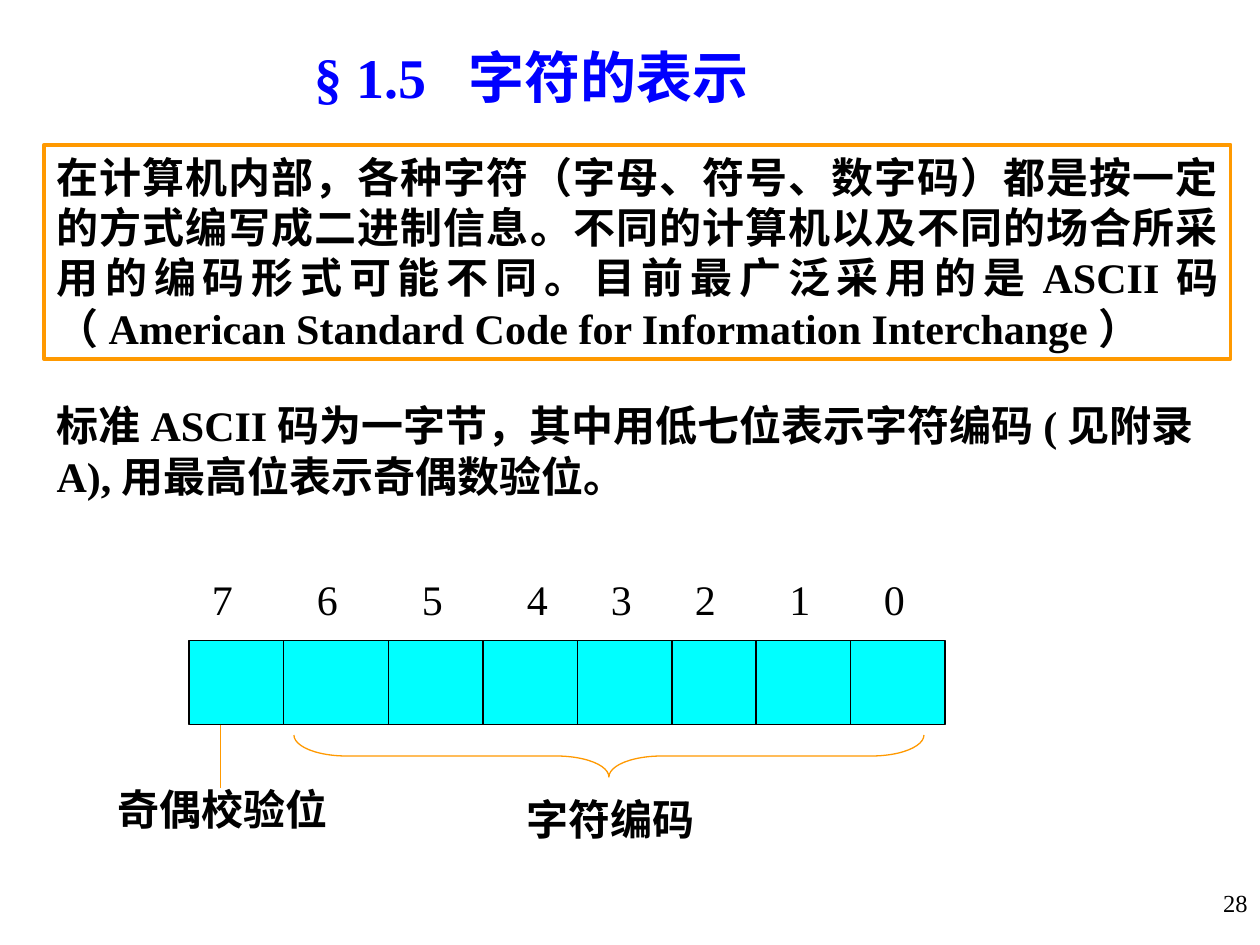
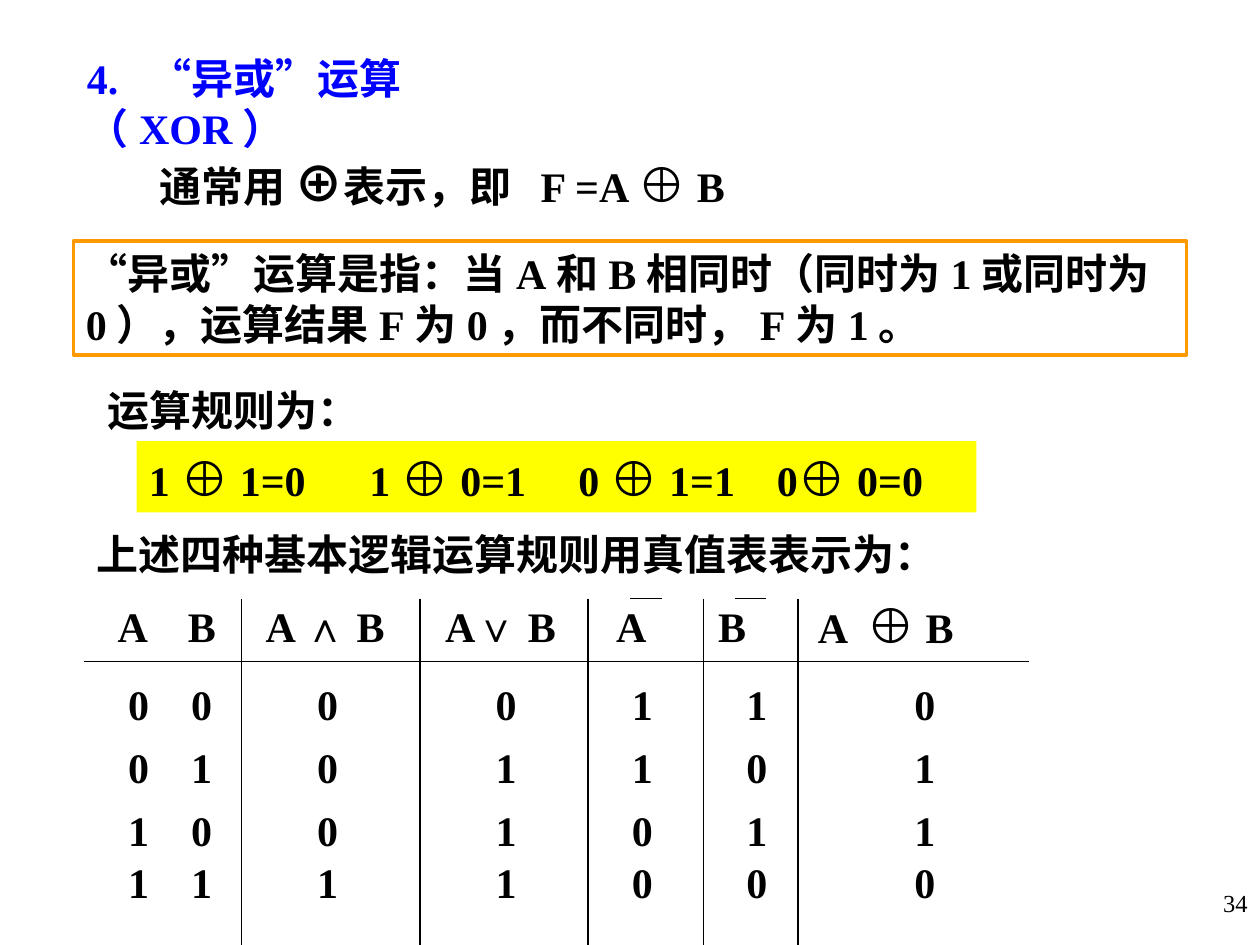
"""Build two slides on character codes and the exclusive-or operation."""
from itertools import groupby

from lxml import etree
from pptx import Presentation
from pptx.dml.color import RGBColor
from pptx.enum.shapes import MSO_CONNECTOR, MSO_SHAPE
from pptx.enum.text import MSO_ANCHOR, PP_ALIGN
from pptx.oxml.ns import qn
from pptx.util import Pt

PX = 7620
FONT = "Times New Roman"
BLACK = RGBColor(0x00, 0x00, 0x00)
BLUE = RGBColor(0x00, 0x00, 0xFF)
ORANGE = RGBColor(0xFF, 0x99, 0x00)
CYAN = RGBColor(0x00, 0xFF, 0xFF)
YELLOW = RGBColor(0xFF, 0xFF, 0x00)
LEFT, RIGHT, JUSTIFY = PP_ALIGN.LEFT, PP_ALIGN.RIGHT, PP_ALIGN.JUSTIFY
TOP, BOTTOM = MSO_ANCHOR.TOP, MSO_ANCHOR.BOTTOM
RECTANGLE, LEFT_BRACE = MSO_SHAPE.RECTANGLE, MSO_SHAPE.LEFT_BRACE
STRAIGHT = MSO_CONNECTOR.STRAIGHT
XOR_SIGN = "⊕"


def write_text(frame, text, size=24, color=BLACK, bold=True, align=LEFT, tabs=()):
    paragraph = frame.paragraphs[0]
    paragraph.alignment = align
    for is_sign, letters in groupby(text, lambda letter: letter == XOR_SIGN):
        run = paragraph.add_run()
        run.text = "".join(letters)
        run.font.name = FONT
        run.font.size = Pt(28 if is_sign else size)
        run.font.bold = bold
        run.font.color.rgb = color
    if tabs:
        tab_list = etree.Element(qn("a:tabLst"))
        for position in tabs:
            etree.SubElement(tab_list, qn("a:tab"), pos=str(position * PX), algn="l")
        paragraph._p.get_or_add_pPr().append(tab_list)


def draw_line(slide, x1, y1, x2, y2, color=BLACK):
    line = slide.shapes.add_connector(STRAIGHT, x1 * PX, y1 * PX, x2 * PX, y2 * PX)
    line.line.color.rgb = color
    line.line.width = Pt(0.75)
    etree.SubElement(line._element.spPr, qn("a:effectLst"))


presentation = Presentation()
presentation.slide_width = 1200 * PX
presentation.slide_height = 900 * PX
blank_layout = presentation.slide_layouts[6]
code_slide = presentation.slides.add_slide(blank_layout)
xor_slide = presentation.slides.add_slide(blank_layout)

text_boxes = [
    (code_slide, (288, 35, 520, 77), "§ 1.5\t字符的表示",
     {"size": 32, "color": BLUE, "tabs": [146]}),
    (code_slide, (42, 375, 1124, 108),
     "标准ASCII码为一字节，其中用低七位表示字符编码(见附录A),用最高位表示奇偶数验位。", {}),
    (code_slide, (170, 540, 780, 60), "\t7\t6\t5\t4\t3\t2\t1\t0",
     {"bold": False, "tabs": [20, 120, 220, 320, 400, 480, 570, 660]}),
    (code_slide, (490, 750, 200, 60), "字符编码", {}),
    (code_slide, (100, 740, 240, 60), "奇偶校验位", {}),
    (xor_slide, (71, 44, 460, 108), "4.\t“异或”运算（XOR）", {"color": BLUE, "tabs": [60]}),
    (xor_slide, (140, 140, 640, 68), "通常用 ⊕表示，即\tF =A ⊕ B", {"tabs": [363]}),
    (xor_slide, (91, 360, 264, 60), "运算规则为：", {}),
    (xor_slide, (80, 497, 840, 60), "上述四种基本逻辑运算规则用真值表表示为：", {}),
]
for slide, number in ((code_slide, "28"), (xor_slide, "34")):
    text_boxes.append((slide, (950, 840, 250, 60), number,
                       {"size": 14, "bold": False, "align": RIGHT}))
for slide, place, text, text_format in text_boxes:
    box = slide.shapes.add_textbox(*(length * PX for length in place))
    box.text_frame.word_wrap = True
    write_text(box.text_frame, text, **text_format)

panels = [
    (code_slide, (42, 138, 1130, 204), None, ORANGE, 2.25,
     "在计算机内部，各种字符（字母、符号、数字码）都是按一定的方式编写成二进制信息。"
     "不同的计算机以及不同的场合所采用的编码形式可能不同。目前最广泛采用的是ASCII码"
     "（American Standard Code for Information Interchange）", {"align": JUSTIFY}),
    (code_slide, (180, 610, 720, 80), CYAN, BLACK, 0.75, "", {}),
    (xor_slide, (70, 230, 1060, 108), None, ORANGE, 2.25,
     "“异或”运算是指：当A和B相同时（同时为1或同时为0），运算结果F为0，而不同时，F为1。", {}),
    (xor_slide, (130, 420, 800, 68), YELLOW, None, 0,
     "1 ⊕ 1=0\t1 ⊕ 0=1\t0 ⊕ 1=1\t0⊕ 0=0", {"tabs": [210, 409, 598]}),
]
for slide, place, fill, outline, width, text, text_format in panels:
    panel = slide.shapes.add_shape(RECTANGLE, *(length * PX for length in place))
    panel.shadow.inherit = False
    if fill is None:
        panel.fill.background()
    else:
        panel.fill.solid()
        panel.fill.fore_color.rgb = fill
    if outline is None:
        panel.line.fill.background()
    else:
        panel.line.color.rgb = outline
        panel.line.width = Pt(width)
    panel.text_frame.word_wrap = True
    panel.text_frame.vertical_anchor = TOP
    write_text(panel.text_frame, text, **text_format)

for bit_edge in (270, 370, 460, 550, 640, 720, 810):
    draw_line(code_slide, bit_edge, 690, bit_edge, 610)
draw_line(code_slide, 210, 690, 210, 750, ORANGE)

brace = code_slide.shapes.add_shape(LEFT_BRACE, 560 * PX, 420 * PX, 40 * PX, 600 * PX)
brace.rotation = 270
brace.adjustments[0] = 1.25
brace.shadow.inherit = False
brace.fill.background()
brace.line.color.rgb = ORANGE
brace.line.width = Pt(0.75)

truth_rows = [
    ("A", "B", "A ∧ B", "A∨ B", "A", "B", "A\t⊕ B"),
    "0000110",
    "0101101",
    "1001011",
    "1111000",
]
column_widths = (82, 68, 170, 160, 110, 90, 220)
row_heights = (64, 81, 60, 49, 80)
header_indents = (32, 17, 23, 24, 27, 14, 19)
value_indents = (42, 20, 72, 72, 42, 41, 111)
table = xor_slide.shapes.add_table(
    len(truth_rows), len(column_widths), 80 * PX, 566 * PX,
    sum(column_widths) * PX, sum(row_heights) * PX).table
table.first_row = False
table.horz_banding = False
for column, width in zip(table.columns, column_widths):
    column.width = width * PX
for row_index, values in enumerate(truth_rows):
    is_header = row_index == 0
    table.rows[row_index].height = row_heights[row_index] * PX
    indents = header_indents if is_header else value_indents
    for column_index, value in enumerate(values):
        cell = table.cell(row_index, column_index)
        cell.margin_left = indents[column_index] * PX
        cell.margin_right = 0
        cell.margin_top = 21 * PX if row_index == 1 else 0
        header_margin = 7 if XOR_SIGN in value else 9
        cell.margin_bottom = header_margin * PX if is_header else 0
        cell.vertical_anchor = BOTTOM if is_header else TOP
        write_text(cell.text_frame, value, tabs=[46] if "\t" in value else ())
        for border_tag in ("a:lnL", "a:lnR", "a:lnT", "a:lnB"):
            border = etree.SubElement(cell._tc.get_or_add_tcPr(), qn(border_tag))
            etree.SubElement(border, qn("a:noFill"))
        cell.fill.background()

draw_line(xor_slide, 80, 630, 980, 630)
for column_edge in (230, 400, 560, 670, 760):
    draw_line(xor_slide, column_edge, 570, column_edge, 900)
for negation_left in (600, 700):
    draw_line(xor_slide, negation_left, 570, negation_left + 30, 570)

presentation.save("out.pptx")
